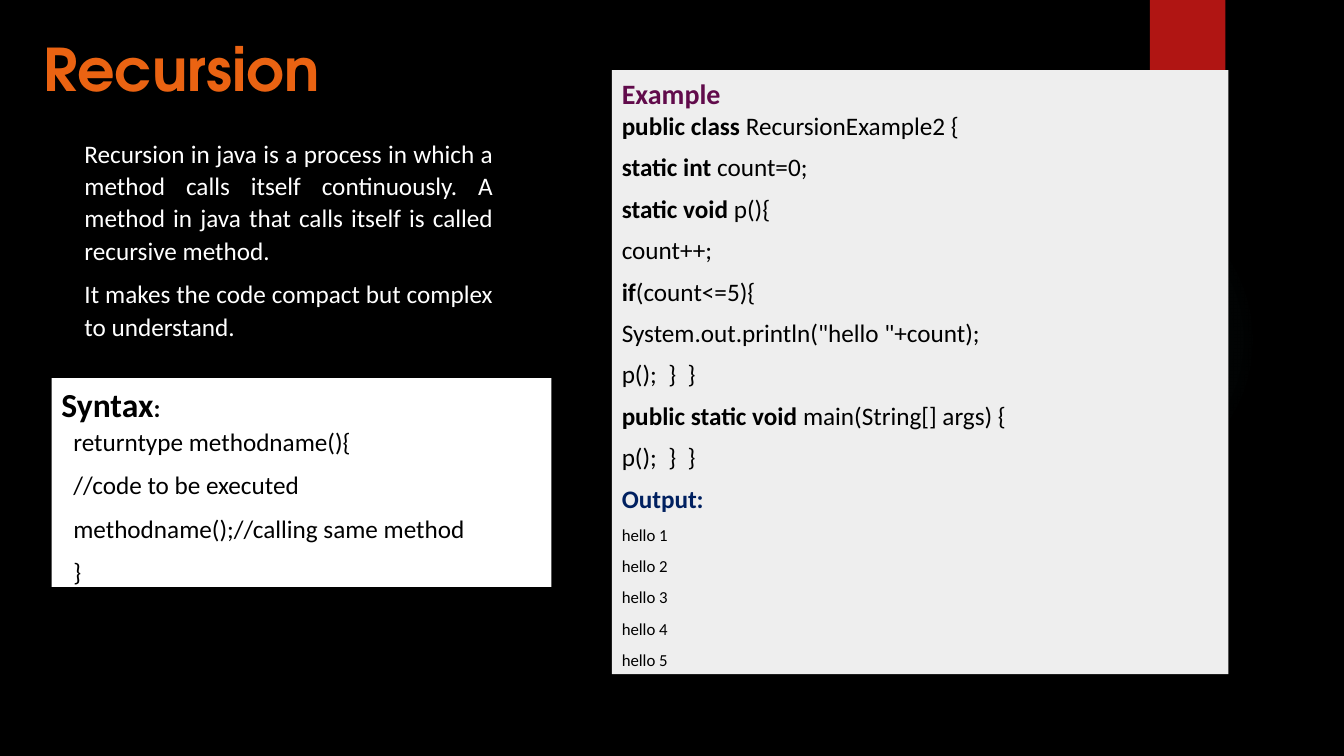
from pptx import Presentation
from pptx import util as u
from pptx.dml import color
from pptx.enum import shapes, text
from pptx.oxml import parse_xml
from pptx.oxml.ns import nsdecls

RGB = color.RGBColor
BLACK, WHITE = RGB(0, 0, 0), RGB(255, 255, 255)
ORANGE, RED = RGB(0xEA, 0x63, 0x12), RGB(0xB0, 0x15, 0x13)
GREY, PLUM, NAVY = RGB(0xEE, 0xEE, 0xEE), RGB(0x61, 0x0B, 0x4B), RGB(0, 0x20, 0x60)
JUSTIFY = text.PP_ALIGN.JUSTIFY
NBSP = "\u00a0"

prs = Presentation()
prs.slide_width, prs.slide_height = u.Cm(33.87), u.Cm(19.05)
s = prs.slides.add_slide(prs.slide_layouts[6])
s.background.fill.solid()
s.background.fill.fore_color.rgb = BLACK


def add_box(left, top, width, height, fill=None, kind=shapes.MSO_SHAPE.RECTANGLE):
    """Add a borderless shape in centimetres, or a text box without fill."""
    place = [u.Cm(v) for v in (left, top, width, height)]
    if fill is None:
        sp = s.shapes.add_textbox(*place)
    else:
        sp = s.shapes.add_shape(kind, *place)
        sp.shadow.inherit = False
        sp.fill.solid()
        sp.fill.fore_color.rgb = fill
        sp.line.fill.background()
        sp.text_frame.vertical_anchor = text.MSO_ANCHOR.MIDDLE
    sp.text_frame.word_wrap = True
    return sp


def add_line(tf, bold, plain="", size=18, ink=BLACK, after=8, spacing=1.0,
             align=JUSTIFY, font="Calibri"):
    """Append a paragraph with a bold start and a plain rest."""
    p = tf.paragraphs[0] if not tf.paragraphs[0].runs else tf.add_paragraph()
    p.alignment, p.line_spacing, p.space_after = align, spacing, u.Pt(after)
    p.font.name, p.font.size, p.font.color.rgb = font, u.Pt(size), ink
    for part, is_bold in ((bold, True), (plain, False)):
        if part:
            r = p.add_run()
            r.text, r.font.bold = part, is_bold
    return p


# Background glow and red tab
glow = add_box(23.9, 4.65, 7.82, 7.82, BLACK, shapes.MSO_SHAPE.OVAL)
stops = "".join(
    f'<a:gs pos="{pos}000"><a:srgbClr val="50B9C1"><a:alpha val="{alpha}000"/></a:srgbClr></a:gs>'
    for pos, alpha in ((0, 7), (36, 6), (69, 0)))
solid = glow.fill.fore_color and glow.element.spPr.find(
    "{http://schemas.openxmlformats.org/drawingml/2006/main}solidFill")
glow.element.spPr.replace(solid, parse_xml(
    f'<a:gradFill {nsdecls("a")}><a:gsLst>{stops}</a:gsLst><a:path path="circle">'
    '<a:fillToRect l="50000" t="50000" r="50000" b="50000"/></a:path></a:gradFill>'))
add_box(28.98, 0, 1.9, 3.18, RED)

# Title and definition
title = add_box(0.84, 0.69, 7.95, 2.03).text_frame
title.vertical_anchor = text.MSO_ANCHOR.MIDDLE
title.word_wrap = False
add_line(title, "Recursion", size=42, ink=ORANGE, after=0,
         align=text.PP_ALIGN.LEFT, font="TeX Gyre Adventor")

definition = add_box(1.88, 3.3, 10.8, 5.44).text_frame
for sentence in (
        "Recursion in java is a process in which a method calls itself continuously. "
        "A method in java that calls itself is called recursive method.",
        "It makes the code compact but complex to understand."):
    add_line(definition, "", sentence, ink=WHITE, spacing=1.07)

# Syntax panel
syntax = add_box(1.3, 9.53, 12.6, 5.26, WHITE).text_frame
syntax.margin_bottom = 0
heading = add_line(syntax, "Syntax", size=24, after=0, align=text.PP_ALIGN.LEFT)
r = heading.add_run()
r.text, r.font.bold, r.font.size = ":", True, u.Pt(18)
for code, after in (("returntype methodname(){", 8), ("//code to be executed", 8),
                    ("methodname();//calling same method", 8), ("}", 6)):
    p = add_line(syntax, "", code, after=after, spacing=1.07)
    p._p.get_or_add_pPr().set("marL", str(u.Cm(0.3)))

# Example panel
example = add_box(15.42, 1.77, 15.54, 15.22, GREY).text_frame
example.margin_top, example.margin_bottom = u.Cm(0.08), u.Cm(0.03)
add_line(example, "Example", size=20, ink=PLUM, after=0)
call_end = f"p();{NBSP * 2}}}{NBSP * 2}}}"
for keyword, rest in (
        ("public class", " RecursionExample2 {"),
        ("static int", " count=0;"),
        ("static void", " p(){"),
        ("", "count++;"),
        ("if", "(count<=5){"),
        ("", 'System.out.println("hello "+count);'),
        ("", call_end),
        ("public static void", " main(String[] args) {"),
        ("", call_end)):
    add_line(example, keyword, rest)
add_line(example, "Output:", ink=NAVY)
for count in range(1, 6):
    add_line(example, "", f"hello {count}", size=12)

prs.save("out.pptx")
